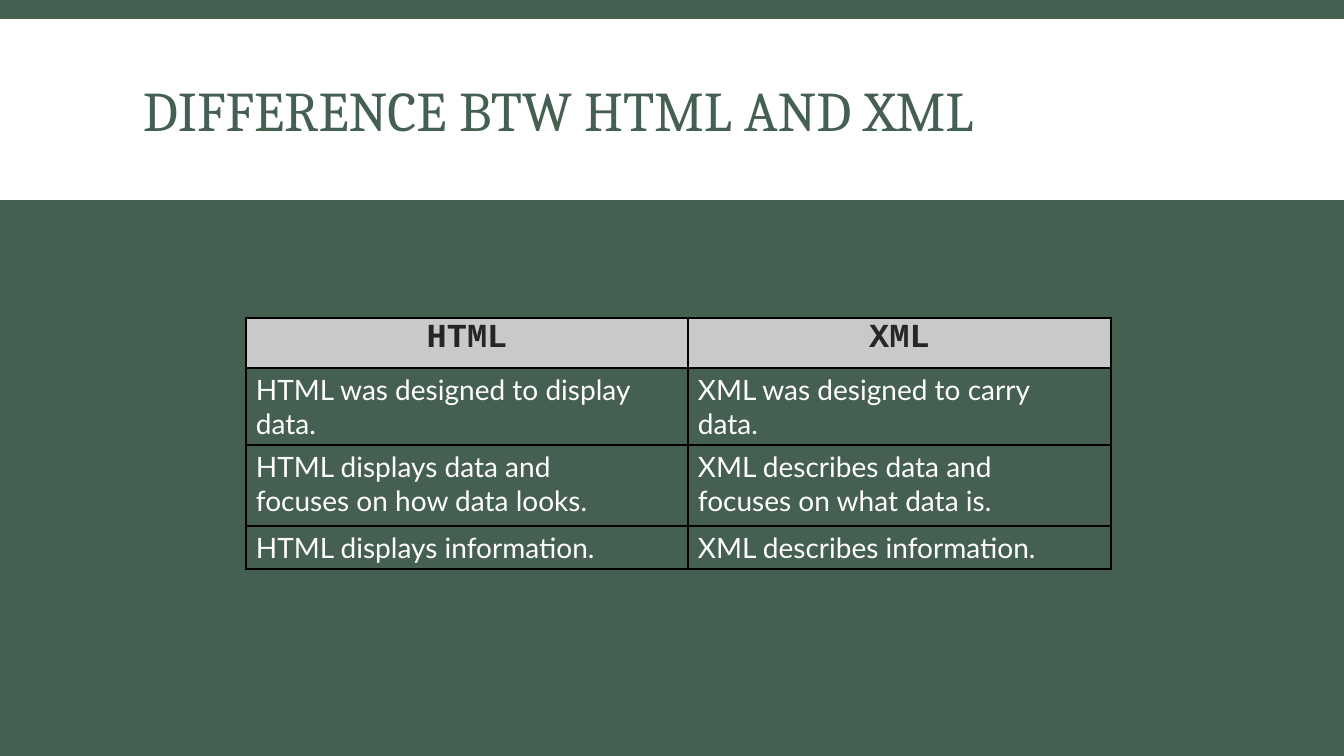
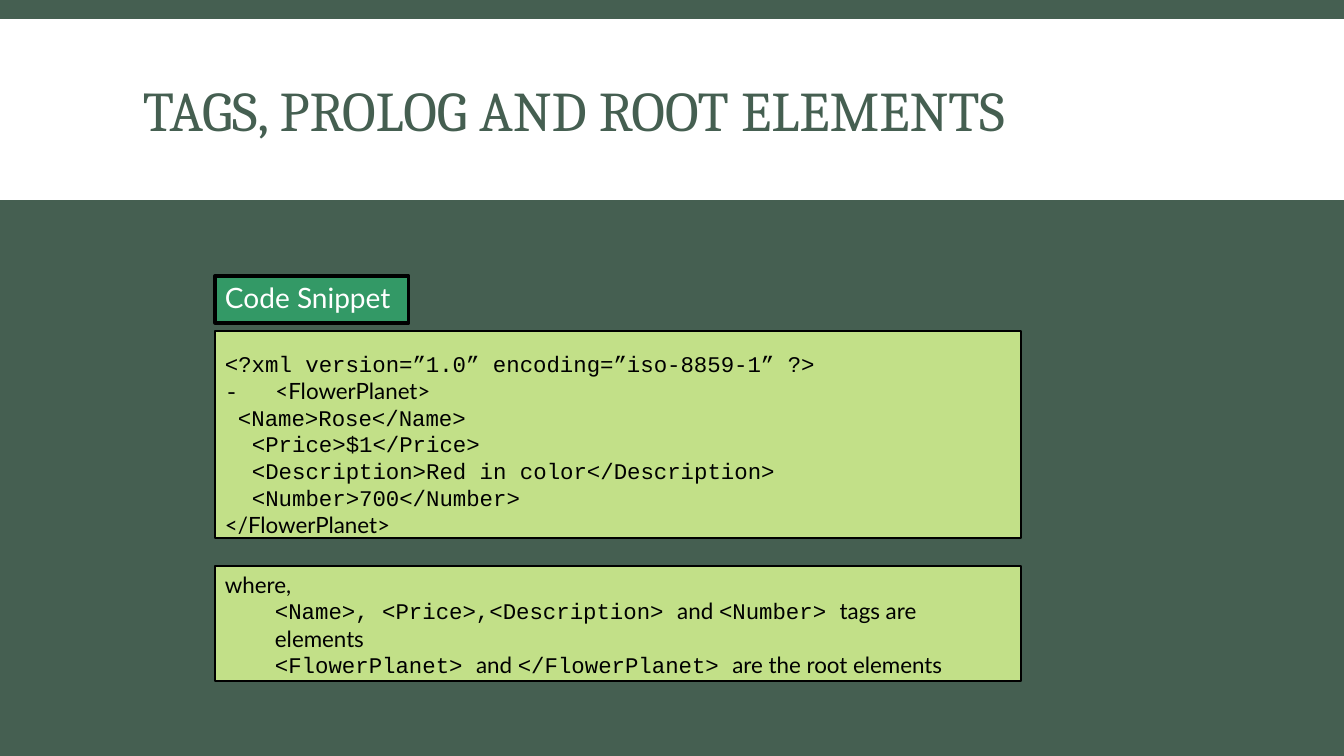
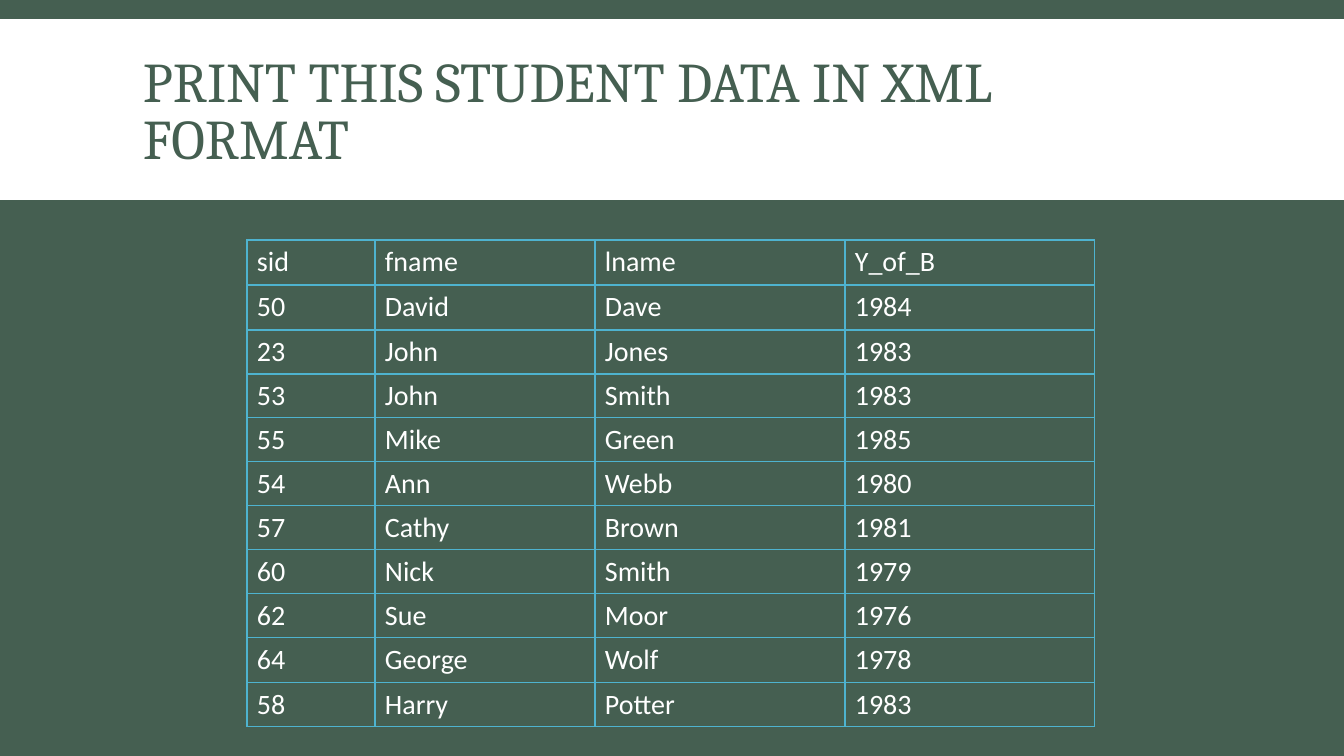
from lxml.etree import SubElement
from pptx import Presentation
from pptx.dml.color import RGBColor
from pptx.enum.shapes import MSO_SHAPE
from pptx.enum.text import MSO_ANCHOR, PP_ALIGN
from pptx.oxml.ns import qn
from pptx.util import Pt

# Shared look
EMU_PER_PX = 914400 / 100.8
SLIDE_SIZE = (1344, 756)
BAND = (0, 19, 1344, 181)
TITLE_BOX = (133, 31, 1079, 166)
COLORS = {
    "green": "455F51", "white": "FFFFFF", "black": "000000", "ink": "262626",
    "gray": "C9C9C9", "lime": "C2E088", "emerald": "339966", "blue": "4EB3CF",
}
STYLES = {
    "title": {"name": "Cambria", "size": 40, "color": "green"},
    "header": {"name": "Courier New", "size": 24, "color": "ink", "bold": True},
    "body": {"name": "Lato", "size": 20, "color": "white"},
    "data": {"name": "Calibri", "size": 20, "color": "white"},
    "code": {"name": "Courier New", "size": 16, "color": "black"},
    "prose": {"name": "Lato", "size": 16, "color": "black"},
}

# Slide 1 content; a newline is a line break within the cell
COMPARISON = {
    "title": "DIFFERENCE BTW HTML AND XML",
    "place": (246, 318),
    "columns": [442, 423],
    "heights": [50, 77, 81, 43],
    "rows": [
        ("HTML", "XML"),
        ("HTML was designed to display\ndata.", "XML was designed to carry\ndata."),
        ("HTML displays data and\nfocuses on how data looks.",
         "XML describes data and\nfocuses on what data is."),
        ("HTML displays information.", "XML describes information."),
    ],
}

# Slide 2 content; a paragraph is (format, runs), a run is (style, text)
TAGS_TITLE = "TAGS, PROLOG AND ROOT ELEMENTS"
TAGS_BOXES = [
    {"box": (215, 331, 806, 207), "fill": "lime", "line": 0.96, "top": 19, "spacing": 19.2,
     "paragraphs": [
         ({}, [("code", "<?xml version=”1.0” encoding=”iso-8859-1” ?>")]),
         ({"tab": 50}, [("code", "-"), ("prose", "\t<FlowerPlanet>")]),
         ({"indent": 13}, [("code", "<Name>Rose</Name>")]),
         ({"indent": 27}, [("code", "<Price>$1</Price>")]),
         ({"indent": 27}, [("code", "<Description>Red in color</Description>")]),
         ({"indent": 27}, [("code", "<Number>700</Number>")]),
         ({}, [("prose", "</FlowerPlanet>")]),
     ]},
    {"box": (215, 276, 194, 47), "fill": "emerald", "line": 2.28, "top": 5, "spacing": 1.0,
     "paragraphs": [({}, [("body", "Code Snippet")])]},
    {"box": (215, 566, 806, 115), "fill": "lime", "line": 0.96, "top": 6, "spacing": 18.5,
     "paragraphs": [
         ({}, [("prose", "where,")]),
         ({"indent": 50}, [("code", "<Name>, <Price>,<Description> "), ("prose", "and "),
                           ("code", "<Number> "), ("prose", "tags are")]),
         ({"indent": 50, "before": 1.4}, [("prose", "elements")]),
         ({"indent": 50}, [("code", "<FlowerPlanet> "), ("prose", "and "),
                           ("code", "</FlowerPlanet> "), ("prose", "are the root elements")]),
     ]},
]

# Slide 3 content
STUDENTS = {
    "title": "PRINT THIS STUDENT DATA IN XML FORMAT",
    "place": (247, 240),
    "columns": [128, 220, 250, 250],
    "heights": [45, 45] + [44] * 7 + [45, 44],
    "rows": [
        ("sid", "fname", "lname", "Y_of_B"),
        ("50", "David", "Dave", "1984"),
        ("23", "John", "Jones", "1983"),
        ("53", "John", "Smith", "1983"),
        ("55", "Mike", "Green", "1985"),
        ("54", "Ann", "Webb", "1980"),
        ("57", "Cathy", "Brown", "1981"),
        ("60", "Nick", "Smith", "1979"),
        ("62", "Sue", "Moor", "1976"),
        ("64", "George", "Wolf", "1978"),
        ("58", "Harry", "Potter", "1983"),
    ],
}


def px(length):
    return round(length * EMU_PER_PX)


def color(name):
    return RGBColor.from_string(COLORS[name])


def add_run(paragraph, text, style):
    run = paragraph.add_run()
    run.text = text
    formats = dict(STYLES[style])
    run.font.color.rgb = color(formats.pop("color"))
    formats["size"] = Pt(formats["size"])
    for attribute, value in formats.items():
        setattr(run.font, attribute, value)


def set_frame(frame, top, anchor=MSO_ANCHOR.TOP):
    values = {"margin_left": px(10), "margin_right": px(10), "margin_top": px(top),
              "margin_bottom": 0, "word_wrap": True, "vertical_anchor": anchor}
    for attribute, value in values.items():
        setattr(frame, attribute, value)


def add_rectangle(slide, box, fill, line_width=None):
    shape = slide.shapes.add_shape(MSO_SHAPE.RECTANGLE, *map(px, box))
    shape.shadow.inherit = False
    shape.fill.solid()
    shape.fill.fore_color.rgb = color(fill)
    if line_width:
        shape.line.color.rgb = color("black")
        shape.line.width = Pt(line_width)
    else:
        shape.line.fill.background()
    return shape


def add_titled_slide(presentation, title):
    slide = presentation.slides.add_slide(presentation.slide_layouts[6])
    slide.background.fill.solid()
    slide.background.fill.fore_color.rgb = color("green")
    add_rectangle(slide, BAND, "white")
    frame = slide.shapes.add_textbox(*map(px, TITLE_BOX)).text_frame
    set_frame(frame, 0, MSO_ANCHOR.MIDDLE)
    frame.paragraphs[0].line_spacing = 0.85
    add_run(frame.paragraphs[0], title, "title")
    return slide


def add_text_panel(slide, panel):
    shape = add_rectangle(slide, panel["box"], panel["fill"], panel["line"])
    frame = shape.text_frame
    set_frame(frame, panel["top"])
    spacing = panel["spacing"]
    for index, (formats, runs) in enumerate(panel["paragraphs"]):
        paragraph = frame.add_paragraph() if index else frame.paragraphs[0]
        paragraph.alignment = PP_ALIGN.LEFT
        paragraph.line_spacing = Pt(spacing) if spacing > 1 else spacing
        paragraph.space_before = Pt(formats.get("before", 0))
        properties = paragraph._p.get_or_add_pPr()
        properties.set("marL", str(px(formats.get("indent", 0))))
        properties.set("indent", "0")
        if "tab" in formats:
            tabs = SubElement(properties, qn("a:tabLst"))
            SubElement(tabs, qn("a:tab"), pos=str(px(formats["tab"])), algn="l")
        for style, text in runs:
            add_run(paragraph, text, style)


def set_borders(cell, line_color, widths):
    properties = cell._tc.get_or_add_tcPr()
    for side, width in zip("LRTB", widths):
        line = SubElement(properties, qn(f"a:ln{side}"), w=str(Pt(width)))
        SubElement(SubElement(line, qn("a:solidFill")), qn("a:srgbClr"), val=COLORS[line_color])


def add_grid(slide, content, line_color, edge_width, top, body_style, header_style, header_fill=None):
    columns, heights, rows = content["columns"], content["heights"], content["rows"]
    place = (*content["place"], sum(columns), sum(heights))
    table = slide.shapes.add_table(len(rows), len(columns), *map(px, place)).table
    table.first_row = table.horz_banding = False
    for column, width in zip(table.columns, columns):
        column.width = px(width)
    for row, height in zip(table.rows, heights):
        row.height = px(height)
    for row_index, texts in enumerate(rows):
        is_header = row_index == 0
        for column_index, text in enumerate(texts):
            cell = table.cell(row_index, column_index)
            # The outer edge may be heavier than the inner rules
            on_edge = (column_index == 0, column_index == len(columns) - 1,
                       is_header, row_index == len(rows) - 1)
            set_borders(cell, line_color, [edge_width if edge else 1 for edge in on_edge])
            filled = is_header and header_fill
            if filled:
                cell.fill.solid()
                cell.fill.fore_color.rgb = color(header_fill)
            else:
                cell.fill.background()
            cell.margin_left, cell.margin_right = px(10), px(10)
            cell.margin_top, cell.margin_bottom = px(1 if filled else top), 0
            paragraph = cell.text_frame.paragraphs[0]
            paragraph.alignment = PP_ALIGN.CENTER if filled else PP_ALIGN.LEFT
            for line_index, line in enumerate(text.split("\n")):
                if line_index:
                    paragraph.add_line_break()
                add_run(paragraph, line, header_style if is_header else body_style)


def main():
    presentation = Presentation()
    presentation.slide_width, presentation.slide_height = map(px, SLIDE_SIZE)

    # HTML and XML compared
    slide = add_titled_slide(presentation, COMPARISON["title"])
    add_grid(slide, COMPARISON, "black", 2.25, 5, "body", "header", "gray")

    # Code snippet with its explanation
    slide = add_titled_slide(presentation, TAGS_TITLE)
    for panel in TAGS_BOXES:
        add_text_panel(slide, panel)

    # Student data
    slide = add_titled_slide(presentation, STUDENTS["title"])
    add_grid(slide, STUDENTS, "blue", 1, 5, "data", "data")

    presentation.save("out.pptx")


if __name__ == "__main__":
    main()
